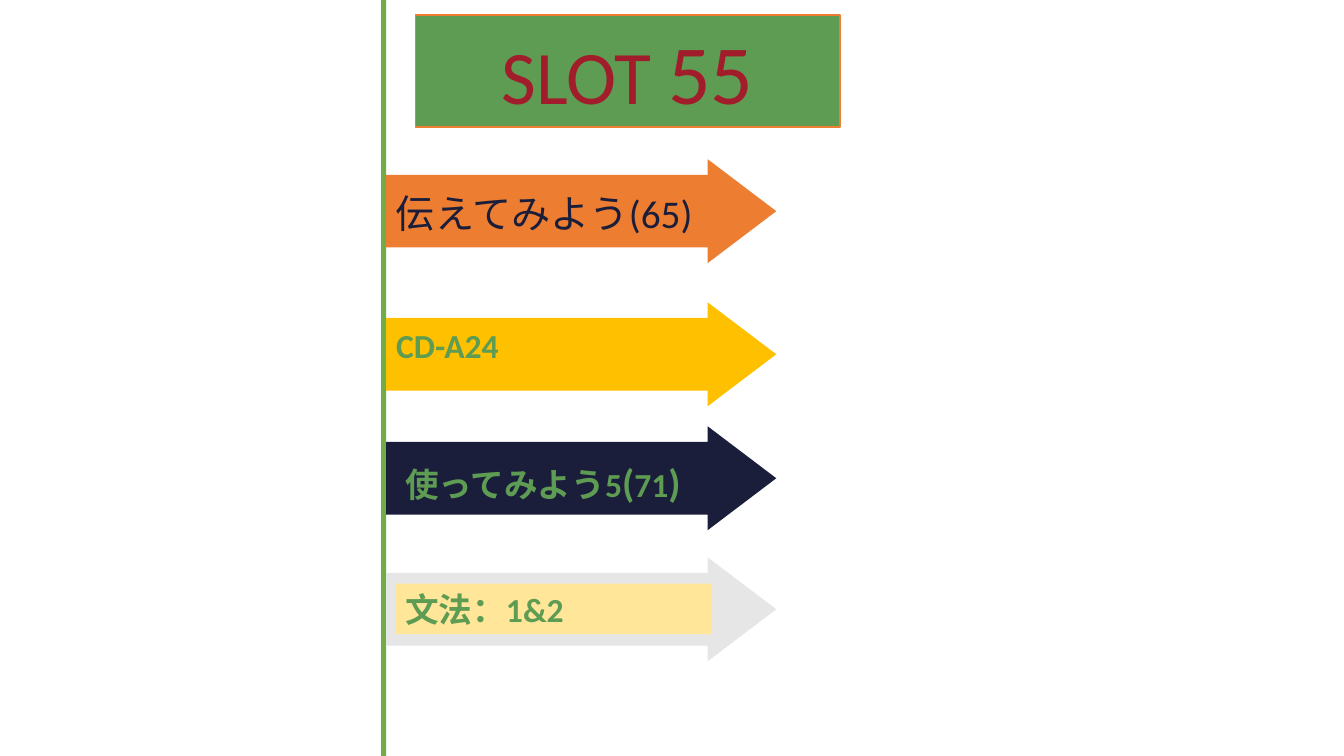
from pptx import Presentation
from pptx import util as u
from pptx.dml.color import RGBColor
from pptx.enum import shapes, text

WIDE, HIGH = u.Inches(13.33), u.Inches(7.5)
GREEN, NAVY, RED, ORANGE = "5E9C53", "1A1E3B", "A11D2B", "ED7D31"
RECT, ARROW = shapes.MSO_SHAPE.RECTANGLE, shapes.MSO_SHAPE.RIGHT_ARROW

# Arrows share one left edge, width and height
LEFT, SPAN, TALL = 28.73, 29.03, 13.73

# Arrow top and fill; label place and fill; label runs, colour and weight
ROWS = [
    (21.07, ORANGE, (28.73, 24.4, 30.16, 7.6), None,
     [("伝えてみよう(65)", 28)], NAVY, False),
    (40, "FFC000", (28.73, 42.27, 33.01, 6.67), None,
     [("CD-A24", 24)], GREEN, True),
    (56.4, NAVY, (29.41, 60, 23.48, 7.6), None,
     [("使ってみよう5", 24), ("(", 28), ("71", 24), (")", 28)], GREEN, True),
    (73.73, "E7E6E6", (29.41, 77.2, 23.48, 6.67), "FFE699",
     [("文法：1&2", 24)], GREEN, True),
]


def color(code):
    return RGBColor.from_string(code)


def place(x, y, w, h):
    """Turn percent shares of the slide into lengths."""
    return [round(part * side / 100)
            for part, side in zip((x, y, w, h), (WIDE, HIGH, WIDE, HIGH))]


def paint(item, code):
    item.fill.solid()
    item.fill.fore_color.rgb = color(code)


def block(slide, kind, spot, code):
    item = slide.shapes.add_shape(kind, *place(*spot))
    item.shadow.inherit = False
    paint(item, code)
    item.line.fill.background()
    return item


def write(item, runs, ink=NAVY, bold=False, align=text.PP_ALIGN.LEFT,
          anchor=text.MSO_ANCHOR.TOP):
    frame = item.text_frame
    frame.word_wrap = True
    frame.auto_size = text.MSO_AUTO_SIZE.NONE
    frame.vertical_anchor = anchor
    para = frame.paragraphs[0]
    para.alignment = align
    for words, size in runs:
        run = para.add_run()
        run.text = words
        run.font.name = "Calibri"
        run.font.size = u.Pt(size)
        run.font.bold = bold
        run.font.color.rgb = color(ink)


def head(slide):
    title = slide.shapes.title
    title.left, title.top, title.width, title.height = place(
        30.91, 2, 31.58, 14.8)
    paint(title, GREEN)
    title.line.color.rgb = color(ORANGE)
    title.line.width = u.Pt(1)
    write(title, [("SLOT ", 54), ("55", 60)], ink=RED,
          align=text.PP_ALIGN.CENTER, anchor=text.MSO_ANCHOR.MIDDLE)


def arrow(slide, top, code):
    item = block(slide, ARROW, (LEFT, top, SPAN, TALL), code)
    item.adjustments[0] = 0.7
    item.adjustments[1] = 0.66


def label(slide, spot, code, runs, ink, bold):
    if code:
        item = block(slide, RECT, spot, code)
    else:
        item = slide.shapes.add_textbox(*place(*spot))
    write(item, runs, ink=ink, bold=bold)


def main():
    deck = Presentation()
    deck.slide_width, deck.slide_height = WIDE, HIGH
    slide = deck.slides.add_slide(deck.slide_layouts[5])

    # Title and vertical bar
    head(slide)
    block(slide, RECT, (28.36, 0, 0.38, 100), "70AD47")

    # Labelled arrows
    for top, code, spot, back, runs, ink, bold in ROWS:
        arrow(slide, top, code)
        label(slide, spot, back, runs, ink, bold)

    deck.save("out.pptx")


if __name__ == "__main__":
    main()
